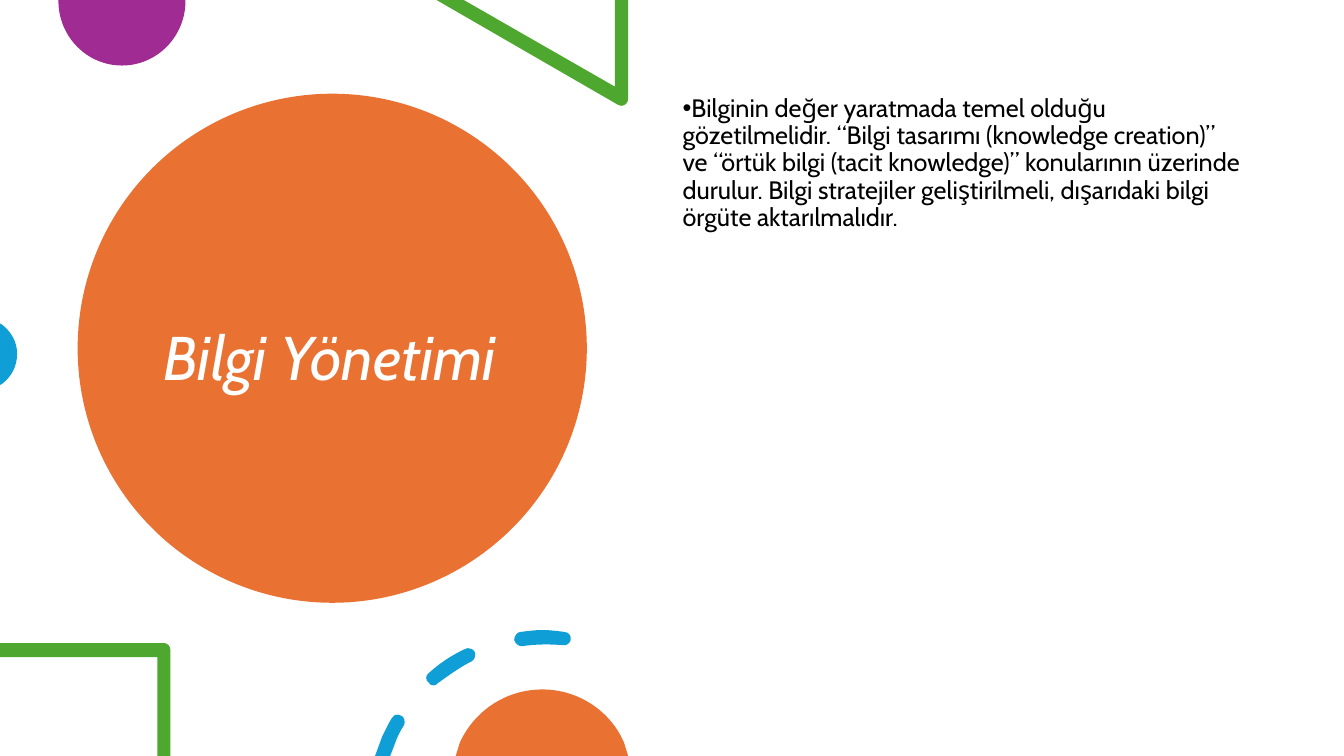
from lxml import etree
from pptx import Presentation
from pptx.dml.color import RGBColor
from pptx.enum.shapes import MSO_SHAPE
from pptx.enum.text import MSO_ANCHOR, MSO_AUTO_SIZE, PP_ALIGN
from pptx.oxml.ns import qn
from pptx.util import Inches, Pt

ELLIPSE = MSO_SHAPE.OVAL
TOP, MIDDLE = MSO_ANCHOR.TOP, MSO_ANCHOR.MIDDLE
NO_AUTOFIT = MSO_AUTO_SIZE.NONE
LEFT = PP_ALIGN.LEFT

FONT = "Cabin"
COLORS = {
    "orange": "E97132",
    "purple": "A02B93",
    "green": "4EA72E",
    "blue": "0F9ED5",
    "white": "FFFFFF",
    "black": "000000",
}

TITLE = "Bilgi Yönetimi"
BODY = (
    "Bilginin değer yaratmada temel olduğu gözetilmelidir. “Bilgi tasarımı "
    "(knowledge creation)” ve “örtük bilgi (tacit knowledge)” konularının "
    "üzerinde durulur. Bilgi stratejiler geliştirilmeli, dışarıdaki bilgi "
    "örgüte aktarılmalıdır."
)

PURPLE_CIRCLE = (
    "M 1.84 0 L 0.58 0 L 0.58 0.01 C 0.58 0.36 0.86 0.65 1.21 0.65 "
    "C 1.56 0.65 1.84 0.36 1.84 0.01"
)
GREEN_TRIANGLE = (
    "M 6.23 0 L 6.1 0 L 6.1 0.86 L 4.6 0 L 4.33 0 L 6.13 1.04 "
    "C 6.14 1.05 6.15 1.05 6.16 1.05 C 6.2 1.05 6.23 1.02 6.23 0.98"
)
BLUE_EDGE = (
    "M 0 3.21 L 0 3.82 L 0.02 3.81 C 0.11 3.74 0.17 3.64 0.17 3.51 "
    "C 0.17 3.39 0.11 3.29 0.02 3.22"
)
GREEN_SQUARE = (
    "M 1.63 6.38 L 0 6.38 L 0 6.52 L 1.56 6.52 L 1.56 7.5 L 1.69 7.5 "
    "L 1.69 6.45 C 1.69 6.41 1.66 6.38 1.63 6.38"
)
BLUE_DASHES = (
    "M 3.95 7.09 C 3.93 7.08 3.9 7.1 3.89 7.12 C 3.85 7.18 3.82 7.25 3.79 7.31 "
    "L 3.72 7.5 L 3.87 7.5 L 3.92 7.37 C 3.94 7.31 3.97 7.25 4.01 7.19 "
    "C 4.02 7.16 4.01 7.11 3.98 7.1 C 3.97 7.09 3.96 7.09 3.95 7.09 "
    "M 4.64 6.43 C 4.63 6.43 4.62 6.43 4.61 6.44 C 4.48 6.5 4.36 6.58 4.25 6.68 "
    "C 4.22 6.7 4.22 6.75 4.25 6.77 C 4.26 6.79 4.28 6.8 4.3 6.8 L 4.3 6.8 "
    "C 4.32 6.8 4.33 6.79 4.34 6.78 C 4.45 6.7 4.56 6.62 4.68 6.56 "
    "C 4.71 6.54 4.72 6.5 4.71 6.47 C 4.69 6.44 4.67 6.43 4.64 6.43 "
    "M 5.38 6.25 C 5.31 6.25 5.24 6.26 5.16 6.27 C 5.13 6.27 5.1 6.31 5.1 6.35 "
    "C 5.11 6.38 5.14 6.41 5.17 6.41 C 5.18 6.41 5.18 6.41 5.18 6.41 "
    "C 5.32 6.39 5.45 6.39 5.58 6.4 C 5.62 6.41 5.65 6.38 5.66 6.35 "
    "C 5.67 6.31 5.64 6.27 5.6 6.27 C 5.6 6.27 5.6 6.27 5.6 6.27 "
    "C 5.53 6.26 5.45 6.25 5.38 6.25"
)
ORANGE_DOME = (
    "M 5.38 6.84 C 5.01 6.84 4.7 7.06 4.56 7.37 L 4.52 7.5 L 6.23 7.5 "
    "L 6.19 7.37 C 6.06 7.06 5.74 6.84 5.38 6.84"
)


def outline_contours(outline):
    contours = []
    for contour in outline.split("M")[1:]:
        segments = []
        for segment in contour.replace("C", "L").split("L"):
            lengths = [Inches(float(number)) for number in segment.split()]
            segments.append(list(zip(lengths[::2], lengths[1::2])))
        contours.append(segments)
    return contours


def bend_lines(shape, segments):
    lines = list(shape.element.iter(qn("a:lnTo")))
    for line, points in zip(lines, segments):
        if len(points) == 3:
            curve = etree.Element(qn("a:cubicBezTo"))
            for x, y in points:
                point = etree.SubElement(curve, qn("a:pt"))
                point.set("x", str(x - shape.left))
                point.set("y", str(y - shape.top))
            line.getparent().replace(line, curve)


def write_text(shape, text, size, color, anchor=TOP, italic=False, space_after=0, bullet=None):
    frame = shape.text_frame
    frame.word_wrap = True
    frame.auto_size = NO_AUTOFIT
    frame.vertical_anchor = anchor
    paragraph = frame.paragraphs[0]
    paragraph.text = text
    if bullet:
        properties = paragraph._p.get_or_add_pPr()
        properties.set("marL", "0")
        properties.set("indent", str(-Inches(0.25)))
        etree.SubElement(properties, qn("a:buFont")).set("typeface", "Arial")
        etree.SubElement(properties, qn("a:buChar")).set("char", bullet)
    paragraph.alignment = LEFT
    paragraph.line_spacing = 0.9
    paragraph.space_before = Pt(0)
    paragraph.space_after = Pt(space_after)
    font = paragraph.runs[0].font
    font.name = FONT
    font.size = Pt(size)
    font.italic = italic
    font.color.rgb = RGBColor.from_string(COLORS[color])


class SlideBuilder:
    def __init__(self, slide):
        self.slide = slide
        self.shapes = slide.shapes

    def paint(self, shape, color):
        shape.shadow.inherit = False
        shape.fill.solid()
        shape.fill.fore_color.rgb = RGBColor.from_string(COLORS[color])
        shape.line.fill.background()

    def ellipse(self, left, top, width, height, color):
        bounds = [Inches(value) for value in (left, top, width, height)]
        self.paint(self.shapes.add_shape(ELLIPSE, *bounds), color)

    def outline(self, outline, color):
        contours = outline_contours(outline)
        builder = self.shapes.build_freeform(*contours[0][0][0], scale=1.0)
        for index, (start, *segments) in enumerate(contours):
            if index:
                builder.move_to(*start[0])
            builder.add_line_segments([points[-1] for points in segments], close=True)
        shape = builder.convert_to_shape()
        bend_lines(shape, [points for contour in contours for points in contour[1:]])
        self.paint(shape, color)

    def placeholder(self, index, left, top, width, height, text, **text_format):
        shape = self.slide.placeholders[index]
        shape.left, shape.top = Inches(left), Inches(top)
        shape.width, shape.height = Inches(width), Inches(height)
        write_text(shape, text, **text_format)
        shape.element.getparent().append(shape.element)


def main():
    presentation = Presentation()
    presentation.slide_width = Inches(13.33)
    presentation.slide_height = Inches(7.5)
    builder = SlideBuilder(presentation.slides.add_slide(presentation.slide_layouts[1]))

    builder.ellipse(0.77, 0.93, 5.05, 5.05, "orange")
    builder.placeholder(0, 1.52, 1.35, 3.54, 4.45, TITLE,
                        size=44, color="white", anchor=MIDDLE, italic=True)
    builder.outline(PURPLE_CIRCLE, "purple")
    builder.outline(GREEN_TRIANGLE, "green")
    builder.outline(BLUE_EDGE, "blue")
    builder.placeholder(1, 6.67, 0.9, 5.75, 5.35, BODY,
                        size=18, color="black", space_after=6, bullet="•")
    builder.outline(GREEN_SQUARE, "green")
    builder.outline(BLUE_DASHES, "blue")
    builder.outline(ORANGE_DOME, "orange")
    presentation.save("out.pptx")


if __name__ == "__main__":
    main()
